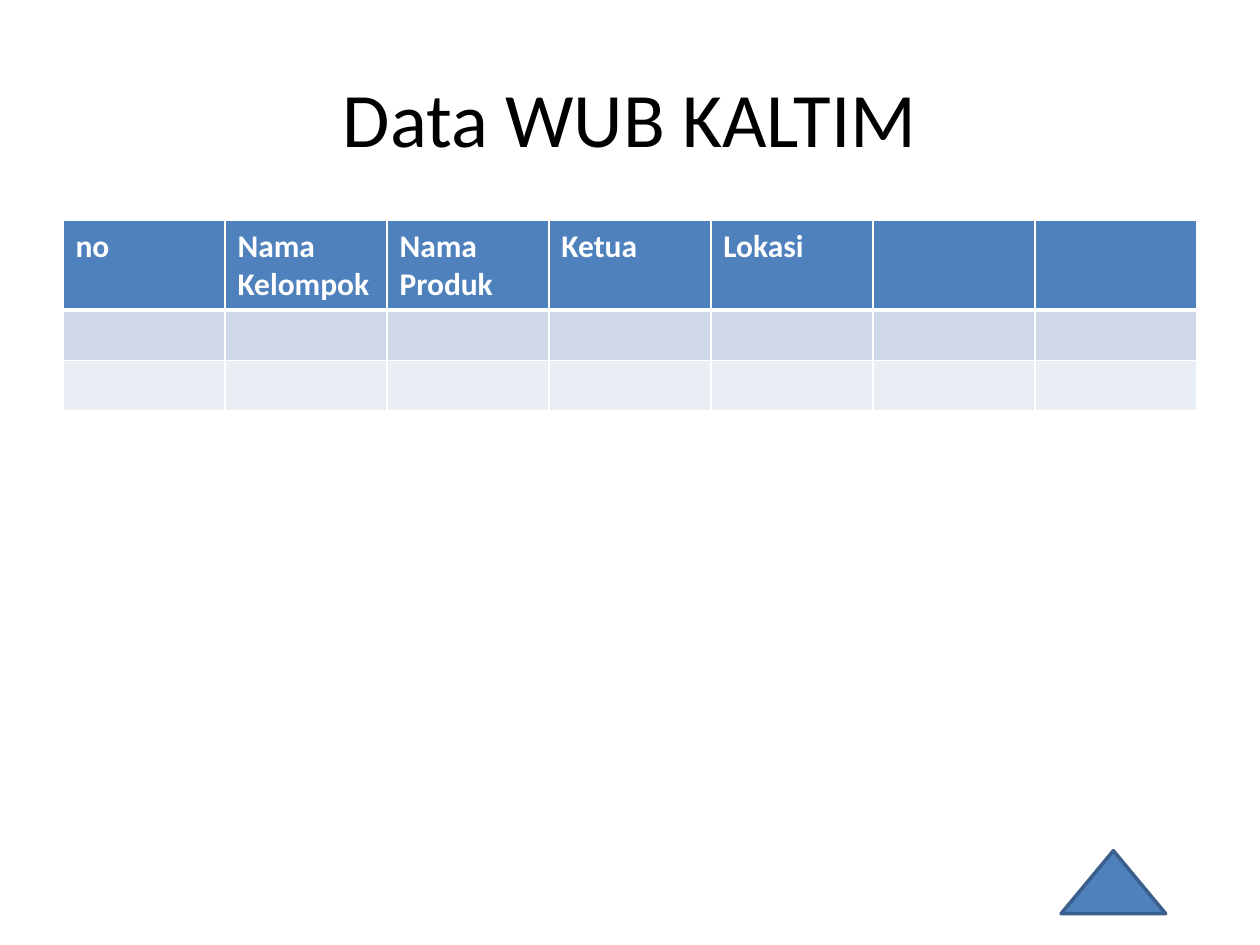
from dataclasses import dataclass

import pptx
import pptx.dml.color
import pptx.enum.shapes
import pptx.enum.text
import pptx.oxml
import pptx.oxml.ns
import pptx.util
from pptx.util import Cm

FONT = "Calibri"
BLUE = "4F81BD"
WHITE = "FFFFFF"
HEADINGS = ("no", "Nama Kelompok", "Nama Produk", "Ketua", "Lokasi", "", "")


@dataclass(frozen=True)
class TableRow:
    texts: tuple[str, ...]
    fill: str
    height: float
    top_border: float = 1
    bottom_border: float = 1


EMPTY = ("",) * len(HEADINGS)
ROWS = (
    TableRow(HEADINGS, BLUE, 1.8, bottom_border=3),
    TableRow(EMPTY, "D0D8E8", 1.02, top_border=3),
    TableRow(EMPTY, "E9EDF4", 1.02),
)


def color(value: str) -> pptx.dml.color.RGBColor:
    return pptx.dml.color.RGBColor.from_string(value)


def write(frame, text: str, *, size: float, ink: str, bold: bool = False,
          align=pptx.enum.text.PP_ALIGN.LEFT,
          anchor=pptx.enum.text.MSO_ANCHOR.TOP) -> None:
    frame.word_wrap = True
    frame.vertical_anchor = anchor
    paragraph = frame.paragraphs[0]
    paragraph.alignment = align
    paragraph.font.size = pptx.util.Pt(size)
    if text:
        run = paragraph.add_run()
        run.text = text
        run.font.name = FONT
        run.font.size = pptx.util.Pt(size)
        run.font.bold = bold
        run.font.color.rgb = color(ink)


def add_border(cell, side: str, width: float) -> None:
    """Add a white border; sides must come in the order L, R, T, B, before the fill."""
    cell._tc.get_or_add_tcPr().append(pptx.oxml.parse_xml(
        f'<a:ln{side} {pptx.oxml.ns.nsdecls("a")} w="{pptx.util.Pt(width)}">'
        f'<a:solidFill><a:srgbClr val="{WHITE}"/></a:solidFill></a:ln{side}>'))


def add_group_table(slide, rows: tuple[TableRow, ...]) -> None:
    width = Cm(22.86)
    height = Cm(sum(row.height for row in rows))
    table = slide.shapes.add_table(
        len(rows), len(HEADINGS), Cm(1.27), Cm(4.45), width, height).table
    for row_index, row in enumerate(rows):
        table.rows[row_index].height = Cm(row.height)
        for column, text in enumerate(row.texts):
            cell = table.cell(row_index, column)
            write(cell.text_frame, text, size=18, ink=WHITE, bold=True)
            for side, border in (("L", 1), ("R", 1),
                                 ("T", row.top_border), ("B", row.bottom_border)):
                add_border(cell, side, border)
            cell.fill.solid()
            cell.fill.fore_color.rgb = color(row.fill)


def add_triangle(slide) -> None:
    triangle = slide.shapes.add_shape(
        pptx.enum.shapes.MSO_SHAPE.ISOSCELES_TRIANGLE,
        Cm(21.39), Cm(17.15), Cm(2.11), Cm(1.27))
    triangle.shadow.inherit = False
    triangle.fill.solid()
    triangle.fill.fore_color.rgb = color(BLUE)
    triangle.line.color.rgb = color("3A5F8C")
    triangle.line.width = pptx.util.Pt(2)


def main() -> None:
    presentation = pptx.Presentation()
    presentation.slide_width, presentation.slide_height = Cm(25.4), Cm(19.05)
    slide = presentation.slides.add_slide(presentation.slide_layouts[6])
    title = slide.shapes.add_textbox(Cm(1.27), Cm(0.76), Cm(22.86), Cm(3.18))
    write(title.text_frame, "Data WUB KALTIM", size=44, ink="000000",
          align=pptx.enum.text.PP_ALIGN.CENTER,
          anchor=pptx.enum.text.MSO_ANCHOR.MIDDLE)
    add_group_table(slide, ROWS)
    add_triangle(slide)
    presentation.save("out.pptx")


if __name__ == "__main__":
    main()
